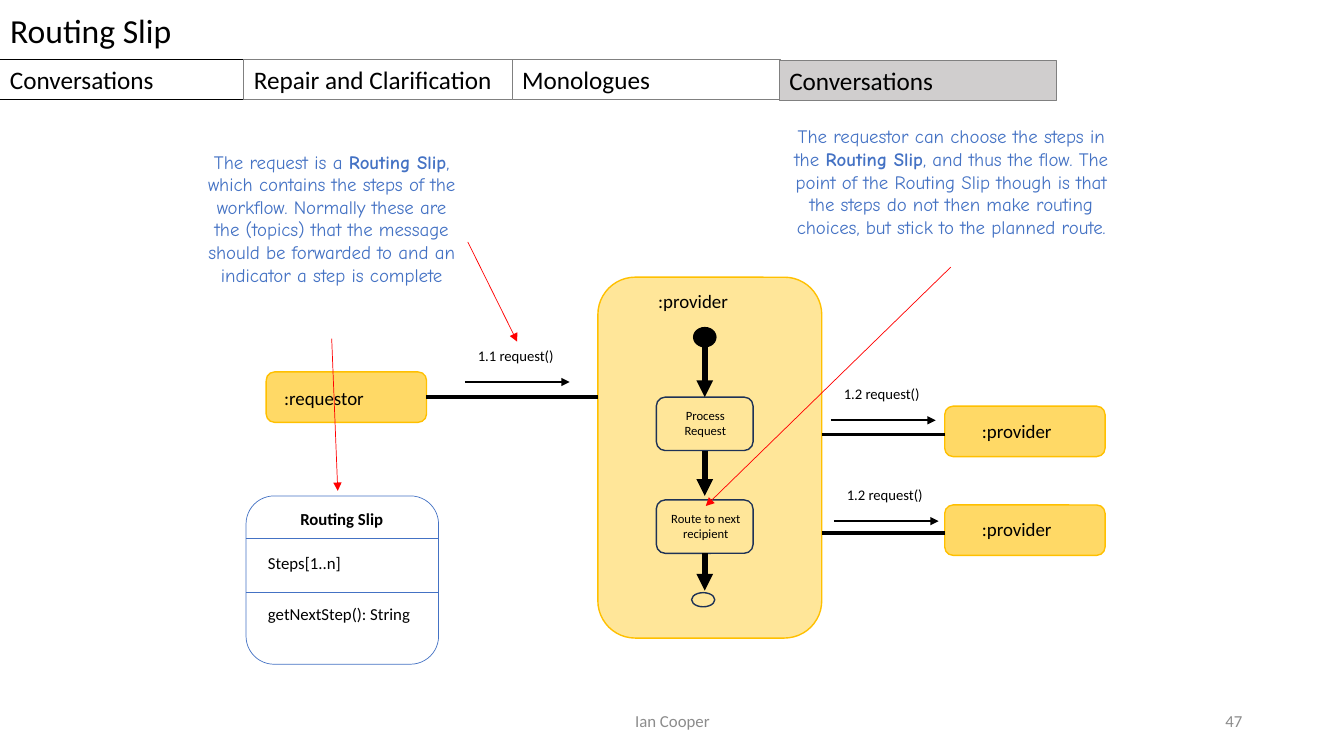
from lxml import etree
from pptx import Presentation
from pptx.dml.color import RGBColor
from pptx.enum.shapes import MSO_CONNECTOR, MSO_SHAPE
from pptx.enum.text import MSO_ANCHOR, MSO_AUTO_SIZE, PP_ALIGN
from pptx.oxml.ns import qn
from pptx.util import Inches, Pt

BLACK = RGBColor(0x00, 0x00, 0x00)
WHITE = RGBColor(0xFF, 0xFF, 0xFF)
GREY = RGBColor(0x80, 0x80, 0x80)
FOOTER_GREY = RGBColor(0x8C, 0x8C, 0x8C)
TAB_GREY = RGBColor(0xD0, 0xCE, 0xCE)
GOLD = RGBColor(0xFF, 0xC0, 0x00)
YELLOW = RGBColor(0xFF, 0xD9, 0x66)
PALE_YELLOW = RGBColor(0xFF, 0xE6, 0x99)
BLUE = RGBColor(0x44, 0x72, 0xC4)
NAVY = RGBColor(0x1E, 0x32, 0x56)
RED = RGBColor(0xFF, 0x00, 0x00)

LEFT, CENTER, RIGHT = PP_ALIGN.LEFT, PP_ALIGN.CENTER, PP_ALIGN.RIGHT
ROUNDED, OVAL, RECT = MSO_SHAPE.ROUNDED_RECTANGLE, MSO_SHAPE.OVAL, MSO_SHAPE.RECTANGLE
FLOW_X = 6.99


def write(frame, text, size, color=BLACK, align=LEFT, font="Calibri"):
    """Fill a text frame; the parts between | marks are bold."""
    frame.word_wrap = True
    paragraph = frame.paragraphs[0]
    paragraph.alignment = align
    for index, part in enumerate(text.split("|")):
        if part:
            run = paragraph.add_run()
            run.text = part
            run.font.name = font
            run.font.size = Pt(size)
            run.font.bold = index % 2 == 1
            run.font.color.rgb = color


def add_box(kind, left, top, width, height, fill, outline, weight=1):
    box = slide.shapes.add_shape(kind, Inches(left), Inches(top), Inches(width), Inches(height))
    box.shadow.inherit = False
    if fill is None:
        box.fill.background()
    else:
        box.fill.solid()
        box.fill.fore_color.rgb = fill
    box.line.color.rgb = outline
    box.line.width = Pt(weight)
    return box


presentation = Presentation()
presentation.slide_width = Inches(13.33)
presentation.slide_height = Inches(7.5)
slide = presentation.slides.add_slide(presentation.slide_layouts[5])

title = slide.shapes.title
title.left, title.top, title.width, title.height = Inches(0), Inches(0), Inches(13.33), Inches(0.6)
title.text_frame.auto_size = MSO_AUTO_SIZE.NONE
title.text_frame.vertical_anchor = MSO_ANCHOR.MIDDLE
write(title.text_frame, "Routing Slip", 24)

# Section tabs, the current one shaded
tabs = [
    ("Conversations", 0, 0.59, 2.43, WHITE, BLACK),
    ("Repair and Clarification", 2.42, 0.59, 2.66, WHITE, GREY),
    ("Monologues", 5.08, 0.59, 2.66, WHITE, GREY),
    ("Conversations", 7.73, 0.6, 2.75, TAB_GREY, GREY),
]
for name, left, top, width, fill, outline in tabs:
    tab = add_box(RECT, left, top, width, 0.4, fill, outline, 0.75)
    write(tab.text_frame, name, 18)

# Participants, the provider's activity flow and the class box
add_box(ROUNDED, 5.93, 2.75, 2.22, 3.58, PALE_YELLOW, GOLD)
for left, top in [(2.64, 3.69), (9.37, 4.03), (9.37, 5.01)]:
    add_box(ROUNDED, left, top, 1.59, 0.5, YELLOW, GOLD)
add_box(OVAL, 6.88, 3.25, 0.22, 0.19, BLACK, BLACK)
for top in (3.94, 4.96):
    add_box(ROUNDED, 6.51, top, 0.96, 0.53, None, NAVY)
add_box(OVAL, 6.86, 5.88, 0.23, 0.14, None, NAVY)
add_box(ROUNDED, 2.44, 4.92, 1.91, 1.67, None, BLUE, 0.5)

labels = [
    (":requestor", 2.72, 3.79, 1.51, 0.33, 13.5, LEFT),
    (":provider", 6.43, 2.82, 1.05, 0.33, 13.5, LEFT),
    (":provider", 9.64, 4.11, 1.05, 0.33, 13.5, LEFT),
    (":provider", 9.64, 5.09, 1.05, 0.33, 13.5, LEFT),
    ("1.1 request()", 4.64, 3.39, 0.98, 0.28, 10.5, LEFT),
    ("1.2 request()", 8.27, 3.77, 0.98, 0.28, 10.5, LEFT),
    ("1.2 request()", 8.3, 4.77, 0.98, 0.28, 10.5, LEFT),
    ("Process Request", 6.59, 4, 0.81, 0.4, 9, CENTER),
    ("Route to next recipient", 6.53, 5.02, 0.94, 0.4, 9, CENTER),
    ("|Routing Slip|", 2.74, 5, 1.3, 0.3, 12, CENTER),
    ("Steps[1..n]", 2.56, 5.43, 1.36, 0.3, 12, LEFT),
    ("getNextStep(): String", 2.56, 5.94, 1.67, 0.3, 12, LEFT),
]
for text, left, top, width, height, size, align in labels:
    label = slide.shapes.add_textbox(Inches(left), Inches(top), Inches(width), Inches(height))
    write(label.text_frame, text, size, align=align)

# Lines: start, end, colour, weight, arrowhead
lines = [
    (4.23, 3.94, 5.93, 3.94, BLACK, 2.5, False),
    (8.15, 4.31, 9.37, 4.31, BLACK, 2.5, False),
    (8.15, 5.29, 9.37, 5.29, BLACK, 2.5, False),
    (2.44, 5.34, 4.35, 5.34, BLUE, 1, False),
    (2.44, 5.88, 4.35, 5.88, BLUE, 1, False),
    (4.61, 3.79, 5.65, 3.79, BLACK, 1.5, True),
    (8.24, 4.17, 9.28, 4.17, BLACK, 1.5, True),
    (8.27, 5.17, 9.31, 5.17, BLACK, 1.5, True),
    (FLOW_X, 3.44, FLOW_X, 3.94, BLACK, 4, True),
    (FLOW_X, 4.47, FLOW_X, 4.92, BLACK, 4, True),
    (FLOW_X, 5.49, FLOW_X, 5.86, BLACK, 4, True),
    (4.64, 2.4, 5.13, 3.39, RED, 0.5, True),
    (3.29, 3.36, 3.35, 4.87, RED, 0.5, True),
    (9.43, 2.65, 7, 5.02, RED, 0.5, True),
]
for x1, y1, x2, y2, color, weight, has_arrow in lines:
    line = slide.shapes.add_connector(
        MSO_CONNECTOR.STRAIGHT, Inches(x1), Inches(y1), Inches(x2), Inches(y2))
    line.line.color.rgb = color
    line.line.width = Pt(weight)
    if has_arrow:
        etree.SubElement(line.line._get_or_add_ln(), qn("a:tailEnd"), type="triangle")
    etree.SubElement(line._element.spPr, qn("a:effectLst"))

notes = [
    ("The request is a |Routing Slip|, which contains the steps of the workflow. "
     "Normally these are the (topics) that the message should be forwarded to "
     "and an indicator a step is complete", 1.94, 1.44, 2.7, 1.92),
    ("The requestor can choose the steps in the |Routing Slip|, and thus the flow. "
     "The point of the Routing Slip though is that the steps do not then make "
     "routing choices, but stick to the planned route.", 7.73, 1.19, 3.41, 1.46),
]
for text, left, top, width, height in notes:
    note = slide.shapes.add_textbox(Inches(left), Inches(top), Inches(width), Inches(height))
    write(note.text_frame, text, 13.5, BLUE, CENTER, "Comic Neue")

for text, left, width, align in [("Ian Cooper", 4.42, 4.5, CENTER), ("47", 9.42, 3, RIGHT)]:
    footer = slide.shapes.add_textbox(Inches(left), Inches(6.95), Inches(width), Inches(0.4))
    footer.text_frame.vertical_anchor = MSO_ANCHOR.MIDDLE
    write(footer.text_frame, text, 12, FOOTER_GREY, align)

for tab_or_box in slide.shapes:
    if tab_or_box.has_text_frame and tab_or_box.text_frame.text in {tab[0] for tab in tabs}:
        tab_or_box.text_frame.vertical_anchor = MSO_ANCHOR.TOP

presentation.save("out.pptx")
